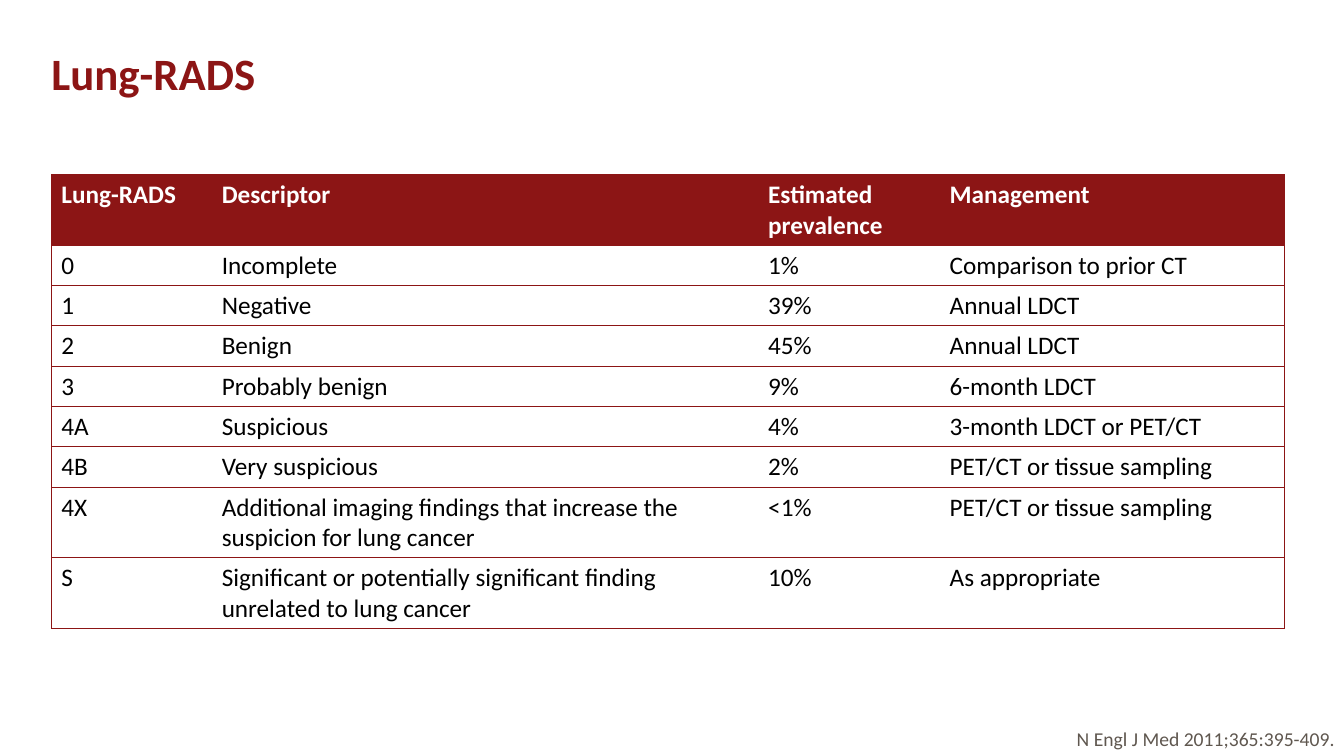
from pptx import Presentation
from pptx import util as u
from pptx.dml.color import RGBColor
from pptx.enum import text
from pptx.oxml.ns import qn
from lxml import etree

CARDINAL = RGBColor(0x8C, 0x15, 0x15)
GREY = RGBColor(0x5F, 0x57, 0x4F)
BLACK = RGBColor(0, 0, 0)
WHITE = RGBColor(0xFF, 0xFF, 0xFF)
FONT = "Calibri"

COLUMN_WIDTHS = [1.59, 5.42, 1.8, 3.42]
ROW_HEIGHT = 0.4  # rows grow to fit their text
ROWS = [
    ["Lung-RADS", "Descriptor", "Estimated\nprevalence", "Management"],
    ["0", "Incomplete", "1%", "Comparison to prior CT"],
    ["1", "Negative", "39%", "Annual LDCT"],
    ["2", "Benign", "45%", "Annual LDCT"],
    ["3", "Probably benign", "9%", "6-month LDCT"],
    ["4A", "Suspicious", "4%", "3-month LDCT or PET/CT"],
    ["4B", "Very suspicious", "2%", "PET/CT or tissue sampling"],
    ["4X", "Additional imaging findings that increase the suspicion for lung cancer",
     "<1%", "PET/CT or tissue sampling"],
    ["S", "Significant or potentially significant finding unrelated to lung cancer",
     "10%", "As appropriate"],
]


def write(frame, words, size=18, color=BLACK, bold=False, align=text.PP_ALIGN.LEFT):
    """Fill a text frame, one paragraph per line of words."""
    for index, line in enumerate(words.split("\n")):
        para = frame.add_paragraph() if index else frame.paragraphs[0]
        para.alignment = align
        span = para.add_run()
        span.text = line
        span.font.name = FONT
        span.font.size = u.Pt(size)
        span.font.bold = bold
        span.font.color.rgb = color


def set_border(cell, side, color=None):
    """Rule one side of a cell, or clear it when no colour is given."""
    line = etree.SubElement(cell._tc.get_or_add_tcPr(), qn(f"a:{side}"), w=str(u.Pt(0.5)))
    if color is None:
        etree.SubElement(line, qn("a:noFill"))
    else:
        fill = etree.SubElement(line, qn("a:solidFill"))
        etree.SubElement(fill, qn("a:srgbClr"), val=str(color))


def add_title(page, left, top, width, height):
    title = page.shapes.title
    title.left, title.top = u.Inches(left), u.Inches(top)
    title.width, title.height = u.Inches(width), u.Inches(height)
    frame = title.text_frame
    frame.auto_size = text.MSO_AUTO_SIZE.NONE
    frame.vertical_anchor = text.MSO_ANCHOR.TOP
    frame.margin_left = frame.margin_top = frame.margin_bottom = 0
    frame.margin_right = u.Inches(1.5)
    write(frame, "Lung-RADS", size=32, color=CARDINAL, bold=True)


def add_citation(page, left, top, width, height):
    box = page.shapes.add_textbox(
        u.Inches(left), u.Inches(top), u.Inches(width), u.Inches(height))
    box.text_frame.word_wrap = False
    box.text_frame.auto_size = text.MSO_AUTO_SIZE.SHAPE_TO_FIT_TEXT
    write(box.text_frame, "N Engl J Med 2011;365:395-409.", size=14, color=GREY,
          align=text.PP_ALIGN.RIGHT)


def add_category_table(page, left, top, width, height):
    holder = page.shapes.add_table(
        len(ROWS), len(COLUMN_WIDTHS),
        u.Inches(left), u.Inches(top), u.Inches(width), u.Inches(height))
    table = holder.table
    table.horz_banding = False
    for column, column_width in zip(table.columns, COLUMN_WIDTHS):
        column.width = u.Inches(column_width)
    for row in table.rows:
        row.height = u.Inches(ROW_HEIGHT)
    holder.height = u.Inches(height)

    last = len(COLUMN_WIDTHS) - 1
    for row_index, entries in enumerate(ROWS):
        header = row_index == 0
        for column_index, words in enumerate(entries):
            cell = table.cell(row_index, column_index)
            write(cell.text_frame, words, color=WHITE if header else BLACK, bold=header)
            # Horizontal rules throughout, vertical ones on the outside only
            set_border(cell, "lnL", CARDINAL if column_index == 0 else None)
            set_border(cell, "lnR", CARDINAL if column_index == last else None)
            set_border(cell, "lnT", CARDINAL)
            set_border(cell, "lnB", CARDINAL)
            if header:
                cell.fill.solid()
                cell.fill.fore_color.rgb = CARDINAL
            else:
                cell.fill.background()


def main():
    deck = Presentation()
    deck.slide_width, deck.slide_height = u.Inches(13.33), u.Inches(7.5)
    page = deck.slides.add_slide(deck.slide_layouts[5])
    add_title(page, 0.51, 0.45, 13.84, 1.11)
    add_citation(page, 10.55, 7.16, 2.79, 0.34)
    add_category_table(page, 0.51, 1.73, sum(COLUMN_WIDTHS), 4.53)
    deck.save("out.pptx")


if __name__ == "__main__":
    main()
